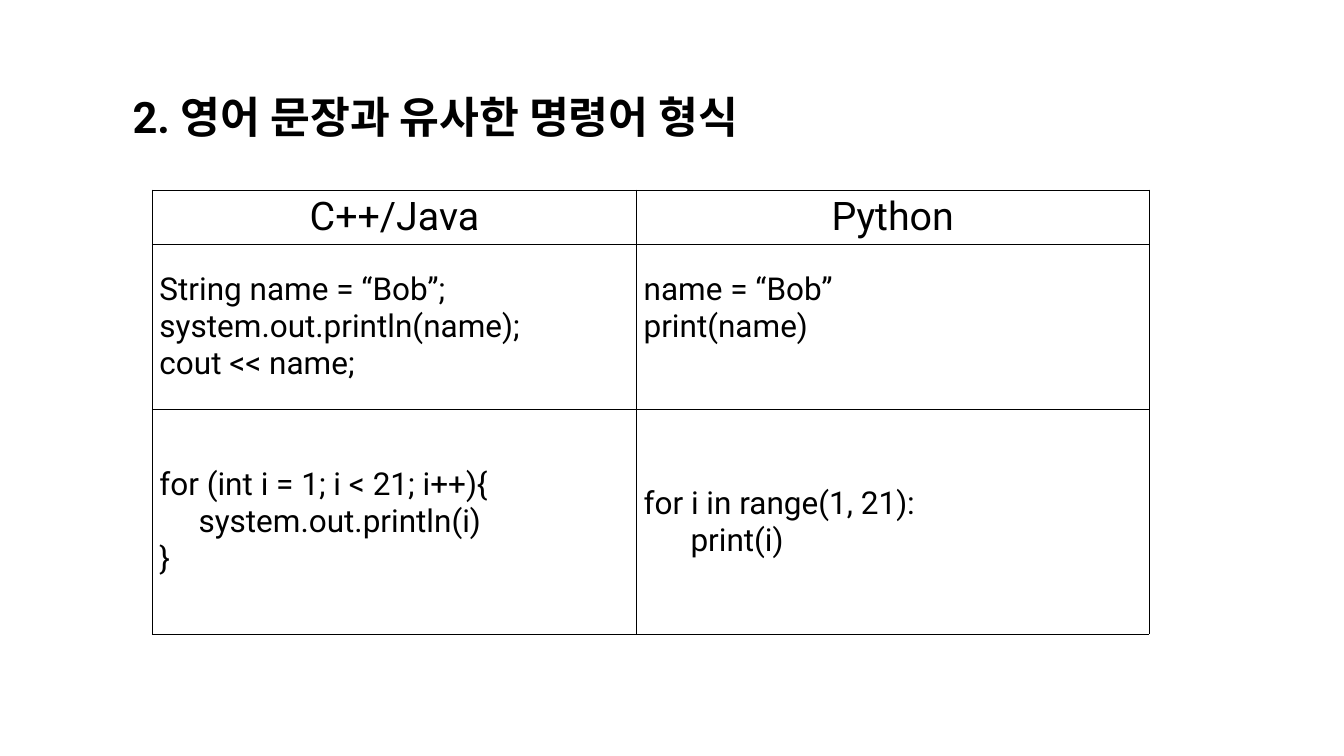
from lxml import etree
from pptx import Presentation
from pptx.dml.color import RGBColor
from pptx.enum.text import MSO_ANCHOR, PP_ALIGN
from pptx.oxml.ns import qn
from pptx.util import Cm, Pt

BLACK = RGBColor(0, 0, 0)
MIDDLE = MSO_ANCHOR.MIDDLE
LEFT, CENTER = PP_ALIGN.LEFT, PP_ALIGN.CENTER
FONT = "Roboto"
BORDER_WIDTH = Pt(1)
LINE_HEIGHT = Cm(1.32)

TITLE = "2. 영어 문장과 유사한 명령어 형식"
COL_WIDTHS = [Cm(17.35), Cm(18.36)]
ROW_HEIGHTS = [Cm(1.9), Cm(5.92), Cm(8.05)]
CODE_ROWS = [
    ["C++/Java", "Python"],
    ["String name = “Bob”;\nsystem.out.println(name);\ncout << name;",
     "name = “Bob”\nprint(name)"],
    ["for (int i = 1; i < 21; i++){\n     system.out.println(i)\n}",
     "for i in range(1, 21):\n      print(i)"],
]


def write_text(tf, text, size, bold=False, align=LEFT):
    tf.text = text
    for p in tf.paragraphs:
        p.alignment = align
        for r in p.runs:
            for name, value in {"name": FONT, "size": Pt(size), "bold": bold}.items():
                setattr(r.font, name, value)
            r.font.color.rgb = BLACK


def add_title(s, left, top, width, height):
    tf = s.shapes.add_textbox(left, top, width, height).text_frame
    inset = Cm(0.15)
    settings = {"word_wrap": True, "vertical_anchor": MIDDLE,
                "margin_left": inset, "margin_right": inset,
                "margin_top": inset, "margin_bottom": inset}
    for name, value in settings.items():
        setattr(tf, name, value)
    write_text(tf, TITLE, 44, bold=True)


def add_borders(cell):
    tc_pr = cell._tc.get_or_add_tcPr()
    for side in ("a:lnL", "a:lnR", "a:lnT", "a:lnB"):
        ln = etree.SubElement(tc_pr, qn(side), w=str(BORDER_WIDTH))
        fill = etree.SubElement(ln, qn("a:solidFill"))
        etree.SubElement(fill, qn("a:srgbClr"), val=str(BLACK))


def add_comparison(s, left, top):
    table = s.shapes.add_table(len(ROW_HEIGHTS), len(COL_WIDTHS), left, top,
                               sum(COL_WIDTHS), sum(ROW_HEIGHTS)).table
    table.first_row = table.horz_banding = False
    for column, width in zip(table.columns, COL_WIDTHS):
        column.width = width
    for i, (height, texts) in enumerate(zip(ROW_HEIGHTS, CODE_ROWS)):
        table.rows[i].height = height
        for j, text in enumerate(texts):
            cell = table.cell(i, j)
            add_borders(cell)
            cell.fill.background()
            if i == 0:
                write_text(cell.text_frame, text, 40, align=CENTER)
            else:
                cell.vertical_anchor = MIDDLE
                write_text(cell.text_frame, text, 32)
    table.cell(1, 1).margin_bottom += LINE_HEIGHT


def main():
    prs = Presentation()
    prs.slide_width, prs.slide_height = Cm(48.16), Cm(27.1)
    s = prs.slides.add_slide(prs.slide_layouts[6])
    add_title(s, Cm(4.6), Cm(2.44), Cm(41.12), Cm(3.45))
    add_comparison(s, Cm(5.46), Cm(6.81))
    prs.save("out.pptx")


if __name__ == "__main__":
    main()
